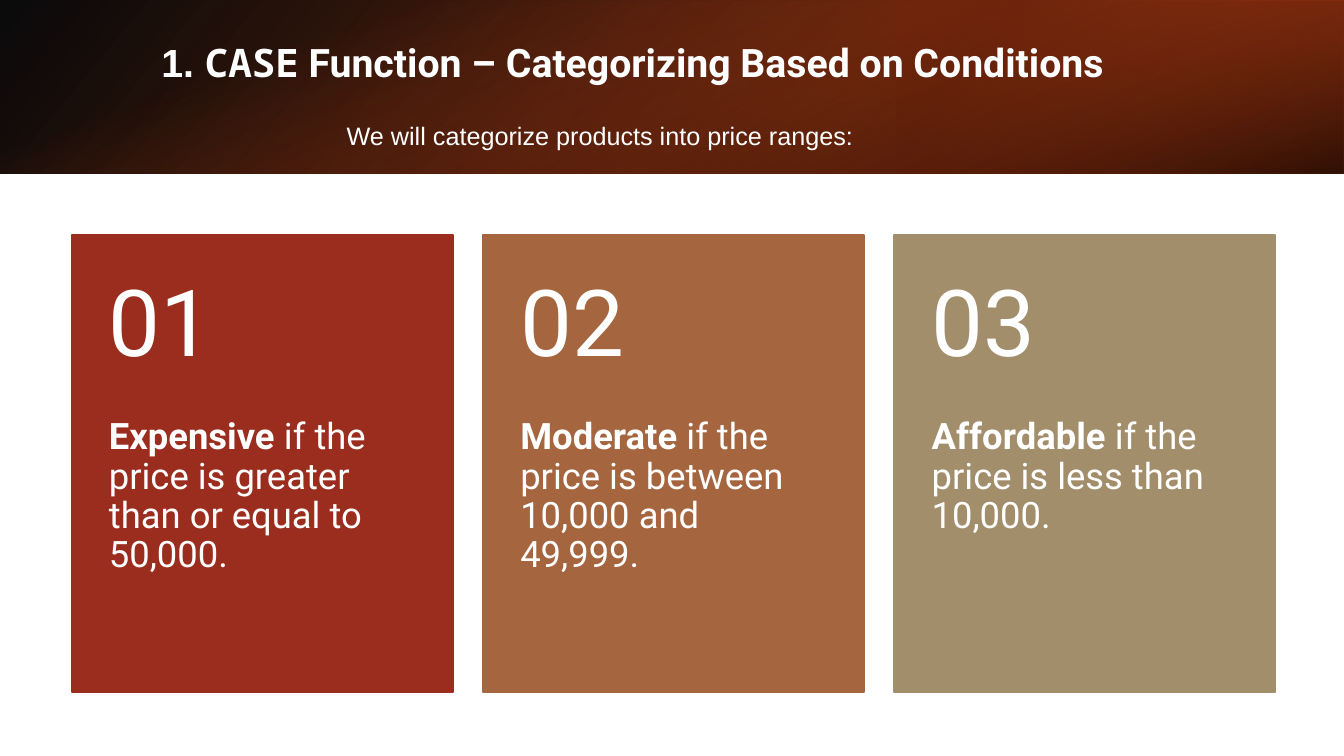
from dataclasses import dataclass
from lxml.etree import SubElement
from pptx import Presentation
from pptx.dml.color import RGBColor
from pptx.enum.shapes import MSO_SHAPE
from pptx.enum.text import MSO_ANCHOR, MSO_AUTO_SIZE, PP_ALIGN
from pptx.oxml.ns import qn
from pptx.util import Inches, Pt


@dataclass(frozen=True)
class Theme:
    text: str = "FFFFFF"
    cards: tuple = ("9B2D1F", "A4653F", "A28E6A")
    head: int = 28
    note: int = 18
    body: int = 26
    big: int = 66
    sans: str = "Roboto"
    plain: str = "Arial"
    mono: str = "Noto Sans Mono"


THEME = Theme()
SHADES = [
    dict(box=(0, 0, 13.33, 1.72), turn=0, flip=True, angle=140,
         stops=[(0, "000000", 96), (100, "9E3611", 100)]),
    dict(box=(8.89, 0, 4.44, 1.72), turn=180, flip=True, angle=320,
         stops=[(19, "69240C", 68), (100, "D34817", 79)]),
    dict(box=(5.8, -5.8, 1.72, 13.33), turn=90, flip=False, angle=340,
         stops=[(23, "D34817", 0), (99, "000000", 74)]),
]
RULES = [
    ("Expensive", " if the price is greater than or equal to 50,000."),
    ("Moderate", " if the price is between 10,000 and 49,999."),
    ("Affordable", " if the price is less than 10,000."),
]


def apply(item, values):
    for name, value in values.items():
        setattr(item, name, value)


def write(frame, runs, size, space=0.9, **style):
    apply(frame, dict(word_wrap=True, auto_size=MSO_AUTO_SIZE.NONE,
                      vertical_anchor=MSO_ANCHOR.TOP) | style)
    para = frame.paragraphs[0]
    apply(para, dict(alignment=PP_ALIGN.LEFT, line_spacing=space))
    for text, face, bold in runs:
        run = para.add_run()
        run.text = text
        apply(run.font, dict(name=face, size=Pt(size), bold=bold))
        run.font.color.rgb = RGBColor.from_string(THEME.text)


def label(slide, box, runs, size, **style):
    area = slide.shapes.add_textbox(*map(Inches, box))
    write(area.text_frame, runs, size, **style)


def block(slide, box):
    shape = slide.shapes.add_shape(MSO_SHAPE.RECTANGLE, *map(Inches, box))
    shape.shadow.inherit = False
    return shape


def shade(slide, box, turn, flip, angle, stops):
    shape = block(slide, box)
    shape.rotation = turn
    shape.line.fill.background()
    props = shape._element.spPr
    if flip:
        props.find(qn("a:xfrm")).set("flipH", "1")
    shape.fill.gradient()
    shape.fill.gradient_angle = 360 - angle
    for stop, (place, color, _) in zip(shape.fill.gradient_stops, stops):
        stop.position = place / 100
        stop.color.rgb = RGBColor.from_string(color)
    for tint, (_, _, alpha) in zip(props.iter(qn("a:srgbClr")), stops):
        SubElement(tint, qn("a:alpha")).set("val", str(alpha * 1000))


def header(slide, left, top):
    for values in SHADES:
        shade(slide, **values)
    title = slide.shapes.title
    apply(title, dict(left=Inches(left + 1.5), top=Inches(top + 0.38),
                      width=Inches(10.98), height=Inches(0.96)))
    write(title.text_frame,
          [("1. ", THEME.plain, True), ("CASE", THEME.mono, True),
           (" Function – Categorizing Based on Conditions", THEME.sans, True)],
          THEME.head)
    slide.shapes._spTree.append(title._element)
    label(slide, (left + 3.34, top + 1.14, 5.43, 0.4),
          [("We will categorize products into price ranges:", THEME.plain, False)],
          THEME.note, space=1.0)


def card(slide, box, color, number, term, rest):
    left, top, width, height = box
    split = 1.82
    shape = block(slide, box)
    shape.fill.solid()
    shape.line.width = Pt(1.5)
    for part in (shape.fill.fore_color, shape.line.color):
        part.rgb = RGBColor.from_string(color)
    sides = dict(margin_left=Inches(0.37), margin_right=Inches(0.37))
    label(slide, (left, top + split, width, height - split),
          [(term, THEME.sans, True), (rest, THEME.sans, False)], THEME.body,
          margin_top=0, margin_bottom=Inches(0.36), **sides)
    label(slide, (left, top, width, split),
          [(f"{number:02}", THEME.sans, False)], THEME.big,
          margin_top=Inches(0.18), margin_bottom=Inches(0.18),
          vertical_anchor=MSO_ANCHOR.MIDDLE, **sides)


def cards(slide, left, top, width, height):
    gap = 0.3
    each = (width - gap * (len(RULES) - 1)) / len(RULES)
    for i, (color, rule) in enumerate(zip(THEME.cards, RULES)):
        box = (left + i * (each + gap), top, each, height)
        card(slide, box, color, i + 1, *rule)


def main():
    deck = Presentation()
    apply(deck, dict(slide_width=Inches(13.33), slide_height=Inches(7.5)))
    slide = deck.slides.add_slide(deck.slide_layouts.get_by_name("Title Only"))
    header(slide, 0, 0)
    cards(slide, 0.71, 2.33, 11.94, 4.54)
    deck.save("out.pptx")


if __name__ == "__main__":
    main()
